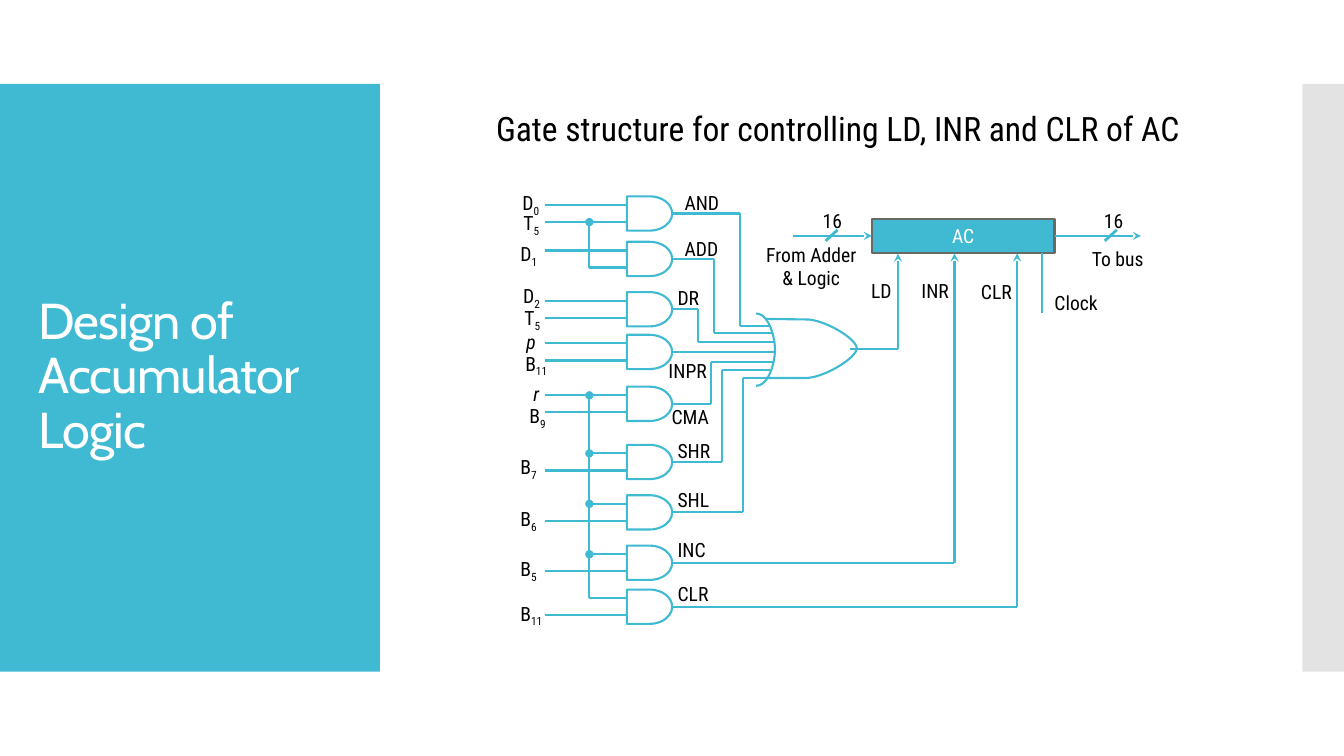
from pptx import Presentation
from pptx.dml.color import RGBColor
from pptx.enum.shapes import MSO_CONNECTOR, MSO_SHAPE
from pptx.enum.text import MSO_ANCHOR, MSO_AUTO_SIZE, PP_ALIGN
from pptx.oxml.ns import qn
from pptx.util import Pt
from lxml.etree import SubElement

COLORS = {"teal": "40BAD2", "gray": "C8C8C8", "edge": "696969",
          "black": "000000", "white": "FFFFFF"}
FONT = "Roboto Condensed"
GATE_X, GATE_W, GATE_H = 447.8, 32.4, 24.5
INPUT_X, BUS_X, INPUT_DY = 389.5, 421, 6.1

# Centre y, upper and lower input starts, output bend x, OR input y and end x
OR_GATES = [
    (152.5, INPUT_X, INPUT_X, 528.6, 232.6, 549.4),  # AND
    (185, INPUT_X, BUS_X, 510.3, 237.8, 552.5),      # ADD
    (220.9, INPUT_X, INPUT_X, 498.8, 244.6, 553.5),  # DR
    (251.4, INPUT_X, INPUT_X, 553, 251.4, 553),      # INPR
    (288.5, INPUT_X, INPUT_X, 507.8, 258.3, 553),    # CMA
    (330, BUS_X, INPUT_X, 516, 264.4, 550),          # SHR
    (366, BUS_X, INPUT_X, 530.5, 270, 548),          # SHL
]
# Centre y, upper and lower input starts, x of the riser into AC
AC_GATES = [(402, BUS_X, INPUT_X, 681.8), (433.4, BUS_X, INPUT_X, 726.5)]

# Left, top, width, text, subscript
LABELS = [
    (483.8, 133.9, 36, "AND", ""), (483.8, 166.3, 35.3, "ADD", ""),
    (478.8, 201.6, 26.6, "DR", ""), (472.3, 253.4, 39.6, "INPR", ""),
    (474.5, 286.6, 37.4, "CMA", ""), (478.8, 311, 42.5, "SHR", ""),
    (478.8, 345.6, 43.9, "SHL", ""), (478.8, 381.6, 43.9, "INC", ""),
    (478.8, 413.3, 46, "CLR", ""),
    (367.9, 133.9, 23.8, "D", "0"), (368.6, 148.3, 25.2, "T", "5"),
    (366.5, 169.9, 23.8, "D", "1"), (368.6, 200.2, 23.8, "D", "2"),
    (369.4, 216, 28, "T", "5"), (370, 248.4, 42.5, "B", "11"),
    (373, 285.8, 35.3, "B", "9"), (366.5, 322.6, 33, "B", "7"),
    (366.5, 359.3, 27.4, "B", "6"), (366.5, 395.3, 27.4, "B", "5"),
    (366.5, 427, 35.3, "B", "11"),
    (695.5, 197.3, 41, "CLR", ""), (653, 196.6, 30.2, "INR", ""),
    (617, 196.6, 35.3, "LD", ""), (748, 205.2, 58.3, "Clock", ""),
    (783.4, 146.9, 24.5, "16", ""), (582.5, 146.9, 24.5, "16", ""),
    (774.7, 173.5, 58.3, "To bus", ""),
]


def rgb(name):
    return RGBColor.from_string(COLORS[name])


def add_run(p, text, size, color="black", font=FONT):
    r = p.add_run()
    r.text = text
    r.font.size = Pt(size)
    r.font.name = font
    r.font.color.rgb = rgb(color)
    return r


def add_box(s, shape, x, y, w, h, fill=None, line=None):
    sp = s.shapes.add_shape(shape, Pt(x), Pt(y), Pt(w), Pt(h))
    sp.shadow.inherit = False
    if fill:
        sp.fill.solid()
        sp.fill.fore_color.rgb = rgb(fill)
    else:
        sp.fill.background()
    if line:
        sp.line.color.rgb = rgb(line)
        sp.line.width = Pt(1.5)
    else:
        sp.line.fill.background()
    return sp


def add_text(s, x, y, w, h, text, sub="", size=14, italic=False,
             align=PP_ALIGN.LEFT, wrap=False):
    tf = s.shapes.add_textbox(Pt(x), Pt(y), Pt(w), Pt(h)).text_frame
    tf.word_wrap = wrap
    tf.auto_size = MSO_AUTO_SIZE.SHAPE_TO_FIT_TEXT
    tf.margin_left = tf.margin_right = Pt(5.2)
    tf.margin_top = tf.margin_bottom = Pt(2.6)
    p = tf.paragraphs[0]
    p.alignment = align
    add_run(p, text, size).font.italic = italic
    if sub:
        r = add_run(p, sub, size)
        r.font._element.set("baseline", "-25000")


def add_wire(s, x1, y1, x2, y2, head=None, tail=None, width=1.5):
    c = s.shapes.add_connector(MSO_CONNECTOR.STRAIGHT,
                               Pt(x1), Pt(y1), Pt(x2), Pt(y2))
    c.line.color.rgb = rgb("teal")
    c.line.width = Pt(width)
    sppr = c.element.spPr
    for tag, kind in (("a:headEnd", head), ("a:tailEnd", tail)):
        if kind:
            SubElement(sppr.find(qn("a:ln")), qn(tag), type=kind)
    SubElement(sppr, qn("a:effectLst"))
    return c


def add_gate(s, y, upper, lower, out_x, dot=False):
    add_wire(s, lower, y + INPUT_DY, GATE_X, y + INPUT_DY)
    add_wire(s, upper, y - INPUT_DY, GATE_X, y - INPUT_DY,
             head="oval" if dot else None)
    gate = add_box(s, MSO_SHAPE.FLOWCHART_DELAY, GATE_X, y - GATE_H / 2,
                   GATE_W, GATE_H, line="teal")
    add_wire(s, GATE_X + GATE_W, y, out_x, y).begin_connect(gate, 3)


def bezier(a, b, c, d, steps=24):
    for i in range(1, steps + 1):
        t = i / steps
        u = 1 - t
        yield tuple(u**3 * a[k] + 3 * u * u * t * b[k] + 3 * u * t * t * c[k]
                    + t**3 * d[k] for k in (0, 1))


def add_outline(s, points):
    pts = [(Pt(x), Pt(y)) for x, y in points]
    fb = s.shapes.build_freeform(*pts[0])
    fb.add_line_segments(pts[1:], close=False)
    sp = fb.convert_to_shape()
    sp.shadow.inherit = False
    sp.fill.background()
    sp.line.color.rgb = rgb("teal")
    sp.line.width = Pt(1.5)


def add_or_gate(s):
    top, tip, bottom = (576, 228.2), (612, 248.8), (576, 270)
    add_outline(s, [(547.2, 227.8), top,
                    *bezier(top, (589, 228.2), (612, 242), tip),
                    *bezier(tip, (612, 255.6), (589, 269.6), bottom),
                    (547.2, 270)])
    low, mid, high = (540, 275.6), (553.6, 249.8), (540, 224)
    add_outline(s, [low, *bezier(low, (549.4, 275.6), (553.6, 258.5), mid),
                    *bezier(mid, (553.6, 241.2), (549.4, 224), high)])


def add_title(s):
    title = s.shapes.title
    s.shapes.element.append(title.element)  # in front of the panel
    title.left, title.top = Pt(20.2), Pt(88.6)
    title.width, title.height = Pt(231.8), Pt(362.2)
    tf = title.text_frame
    tf.word_wrap = True
    tf.vertical_anchor = MSO_ANCHOR.MIDDLE
    p = tf.paragraphs[0]
    p.alignment = PP_ALIGN.LEFT
    p.line_spacing = 0.9
    r = add_run(p, "Design of Accumulator Logic", 36, "white", "Cabin")
    r.font._element.set("spc", "-60")


def add_register(s):
    ac = add_box(s, MSO_SHAPE.RECTANGLE, 622.8, 156.2, 130.5, 24.6,
                 "teal", "edge")
    tf = ac.text_frame
    tf.vertical_anchor = MSO_ANCHOR.MIDDLE
    p = tf.paragraphs[0]
    p.alignment = PP_ALIGN.CENTER
    add_run(p, "AC", 14, "white")
    add_wire(s, 566.6, 168.5, 622.8, 168.5, tail="stealth").end_connect(ac, 1)
    add_wire(s, 753.3, 168.5, 815, 168.5, tail="stealth").begin_connect(ac, 3)
    for x in (589.7, 789.1):  # bus width slashes
        add_wire(s, x, 172.1, x + 8.6, 164.2, width=2)
    add_wire(s, 744.5, 180.8, 744.5, 223.9)  # clock
    add_wire(s, 607, 249.1, 641.5, 249.1)  # load
    add_wire(s, 641.5, 249.1, 641.5, 181.2, tail="stealth")


def main():
    prs = Presentation()
    prs.slide_width, prs.slide_height = Pt(960), Pt(540)
    s = prs.slides.add_slide(prs.slide_layouts[5])

    # Side panels and headings
    add_box(s, MSO_SHAPE.RECTANGLE, 0, 60, 271.3, 419.8, "teal")
    side = add_box(s, MSO_SHAPE.RECTANGLE, 930.2, 60, 29.8, 419.8, "gray")
    SubElement(side.element.spPr.find(qn("a:solidFill"))[0],
               qn("a:alpha"), val="50000")
    add_title(s)
    add_text(s, 349.2, 74.2, 515.5, 35.3,
             "Gate structure for controlling LD, INR and CLR of AC",
             size=24, wrap=True)

    # Register and gates
    add_register(s)
    add_or_gate(s)
    for y, upper, lower, bend_x, or_y, end_x in OR_GATES:
        add_gate(s, y, upper, lower, bend_x, dot=upper == BUS_X)
        if or_y != y:
            add_wire(s, bend_x, y, bend_x, or_y)
            add_wire(s, bend_x, or_y, end_x, or_y)
    for y, upper, lower, riser_x in AC_GATES:
        add_gate(s, y, upper, lower, riser_x, dot=y != AC_GATES[-1][0])
        add_wire(s, riser_x, y, riser_x, 181, tail="stealth")

    # Shared inputs
    add_wire(s, BUS_X, 158.6, BUS_X, 191.1, head="oval")
    add_wire(s, BUS_X, 282.4, BUS_X, 427.3, head="oval")

    # Labels
    for x, y, w, text, sub in LABELS:
        add_text(s, x, y, w, 22.3, text, sub)
    add_text(s, 370.8, 233.3, 28.8, 22.3, "p", italic=True)
    add_text(s, 375.8, 270, 16.6, 22.3, "r", italic=True)
    add_text(s, 541.4, 170.6, 76.3, 39.6, "From Adder & Logic",
             align=PP_ALIGN.CENTER, wrap=True)
    prs.save("out.pptx")


if __name__ == "__main__":
    main()
